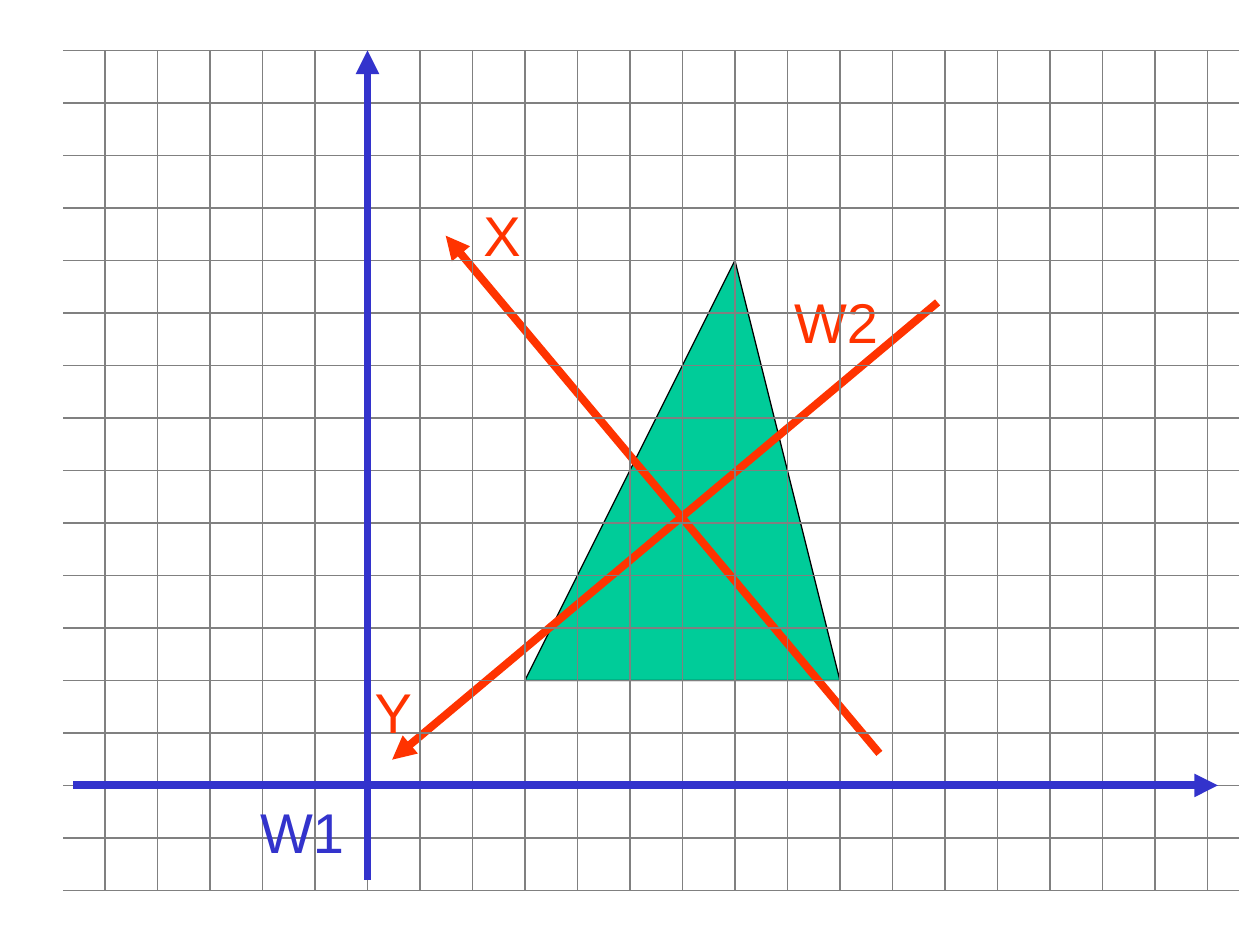
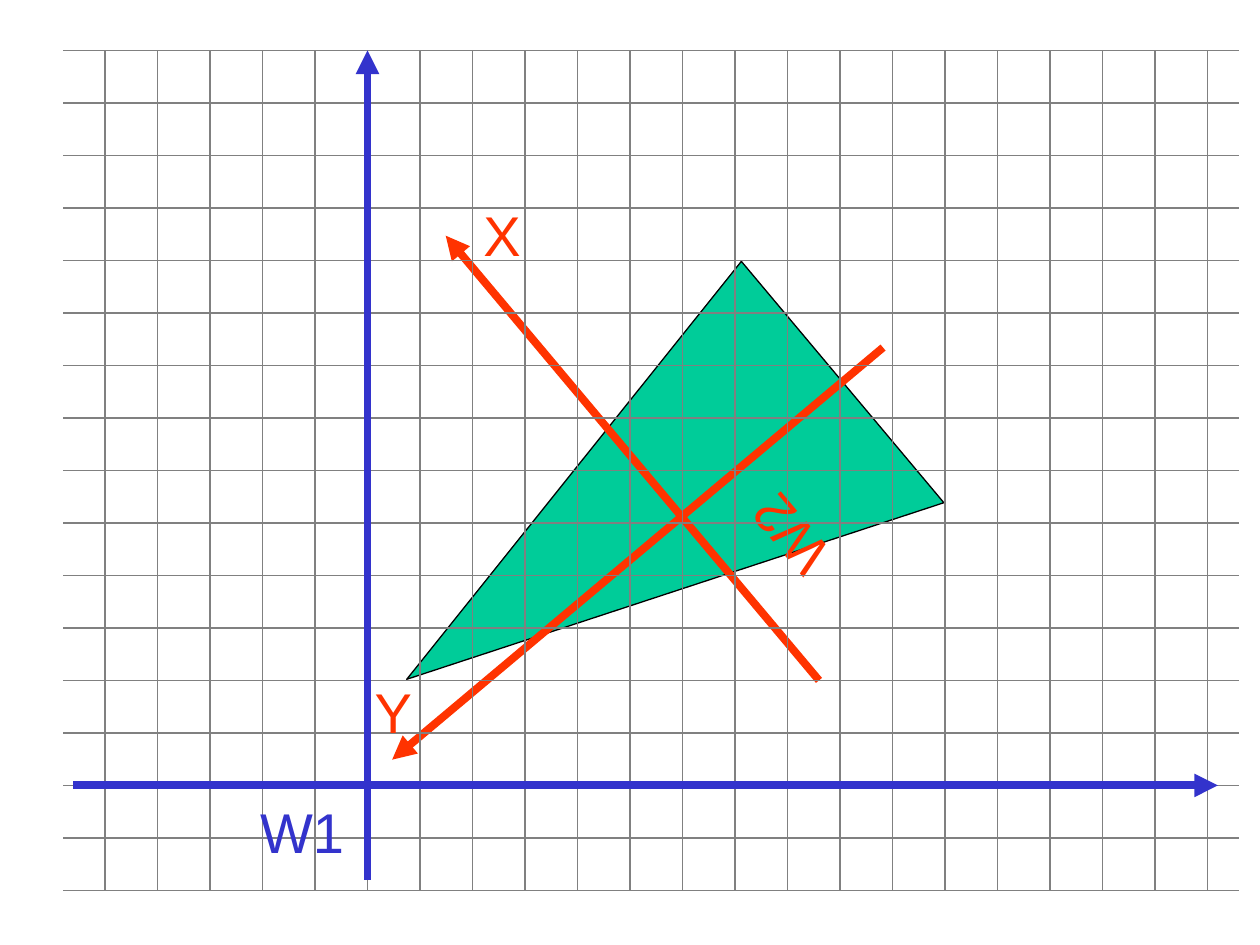
from lxml.etree import SubElement
from pptx import Presentation
from pptx.dml.color import RGBColor
from pptx.enum.shapes import MSO_CONNECTOR
from pptx.enum.text import MSO_AUTO_SIZE
from pptx.oxml.ns import qn
from pptx.util import Inches, Pt

GREEN = RGBColor(0x00, 0xCC, 0x99)
ORANGE = RGBColor(0xFF, 0x33, 0x00)
BLUE = RGBColor(0x33, 0x33, 0xCC)
GRAY = RGBColor(0x80, 0x80, 0x80)
BLACK = RGBColor(0x00, 0x00, 0x00)

FONT = "Arial"
CELL = 5 / 12
GRID_TOP = 0.4
GRID_ROWS = 16
GRID_COLUMNS = range(2, 24)
GRID_LEFT, GRID_RIGHT = 1.2, 23.6
ORIGIN_COLUMN, ORIGIN_ROW = 7, 14
THIN, THICK = 0.75, 4.5

X_TIP, Y_TIP = (8.49, 3.53), (7.47, 13.51)


def cells(count):
    """Return the length of a number of grid cells."""
    return Inches(count * CELL)


def place(column, row):
    """Return the slide position of a grid point."""
    return cells(column), Inches(GRID_TOP + row * CELL)


def add_line(shapes, start, end, color, width):
    """Draw a straight line between two grid points."""
    line = shapes.add_connector(MSO_CONNECTOR.STRAIGHT, *place(*start), *place(*end))
    line.line.color.rgb = color
    line.line.width = Pt(width)
    SubElement(line.line._get_or_add_ln(), qn("a:round"))
    SubElement(line._element.spPr, qn("a:effectLst"))
    return line


def add_arrow(shapes, start, end, color):
    """Draw a thick line with a triangular head at its end."""
    arrow = add_line(shapes, start, end, color, THICK)
    SubElement(arrow.line._get_or_add_ln(), qn("a:tailEnd"), type="triangle")


def add_label(shapes, text, column, row, color, rotation=0):
    """Write a large label whose box starts at a grid point."""
    width = 1.18 if len(text) == 1 else 2.12
    label = shapes.add_textbox(*place(column, row), cells(width), cells(1.54))
    label.rotation = rotation
    frame = label.text_frame
    frame.word_wrap = False
    frame.auto_size = MSO_AUTO_SIZE.SHAPE_TO_FIT_TEXT
    paragraph = frame.paragraphs[0]
    paragraph.text = text
    paragraph.font.name = FONT
    paragraph.font.size = Pt(32)
    paragraph.font.color.rgb = color


def add_triangle(shapes, column, row, height, rotation=0):
    """Draw the triangle, six cells wide with its apex over the fourth."""
    base = row + height
    builder = shapes.build_freeform(*place(column, base), scale=1.0)
    builder.add_line_segments([place(column + 6, base), place(column + 4, row)])
    triangle = builder.convert_to_shape()
    triangle.rotation = rotation
    triangle.shadow.inherit = False
    triangle.fill.solid()
    triangle.fill.fore_color.rgb = GREEN
    triangle.line.color.rgb = BLACK
    triangle.line.width = Pt(THIN)


def add_grid(slide):
    """Draw the background grid as one group."""
    shapes = slide.shapes.add_group_shape().shapes
    for row in range(GRID_ROWS, -1, -1):
        add_line(shapes, (GRID_LEFT, row), (GRID_RIGHT, row), GRAY, THIN)
    for column in GRID_COLUMNS:
        add_line(shapes, (column, GRID_ROWS), (column, 0), GRAY, THIN)


def add_world_axes(slide):
    """Draw the fixed axes and their label as one group."""
    shapes = slide.shapes.add_group_shape().shapes
    add_arrow(shapes, (ORIGIN_COLUMN, 15.8), (ORIGIN_COLUMN, 0), BLUE)
    add_arrow(shapes, (1.4, ORIGIN_ROW), (23.2, ORIGIN_ROW), BLUE)
    add_label(shapes, "W1", 4.72, 14.12, BLUE)


def add_frames_slide(presentation, triangle, y_start, x_start, label, rotation=0):
    """Add a slide with the triangle in the turned frame over the world axes."""
    slide = presentation.slides.add_slide(presentation.slide_layouts[6])
    add_triangle(slide.shapes, *triangle, rotation)
    add_arrow(slide.shapes, y_start, Y_TIP, ORANGE)
    add_arrow(slide.shapes, x_start, X_TIP, ORANGE)
    add_label(slide.shapes, "W2", *label, ORANGE, rotation)
    add_grid(slide)
    add_world_axes(slide)
    add_label(slide.shapes, "Y", 6.9, 11.82, ORANGE)
    add_label(slide.shapes, "X", 8.97, 2.74, ORANGE)


def main():
    """Build both slides and save them."""
    presentation = Presentation()
    presentation.slide_width = Inches(10)
    presentation.slide_height = Inches(7.5)
    add_frames_slide(presentation, triangle=(10, 4, 8), y_start=(17.86, 4.8),
                     x_start=(16.75, 13.39), label=(14.89, 4.39))
    add_frames_slide(presentation, triangle=(9.22, 4.53, 10), y_start=(16.82, 5.66),
                     x_start=(15.6, 12), label=(13.97, 8.45), rotation=230)
    presentation.save("out.pptx")


if __name__ == "__main__":
    main()
